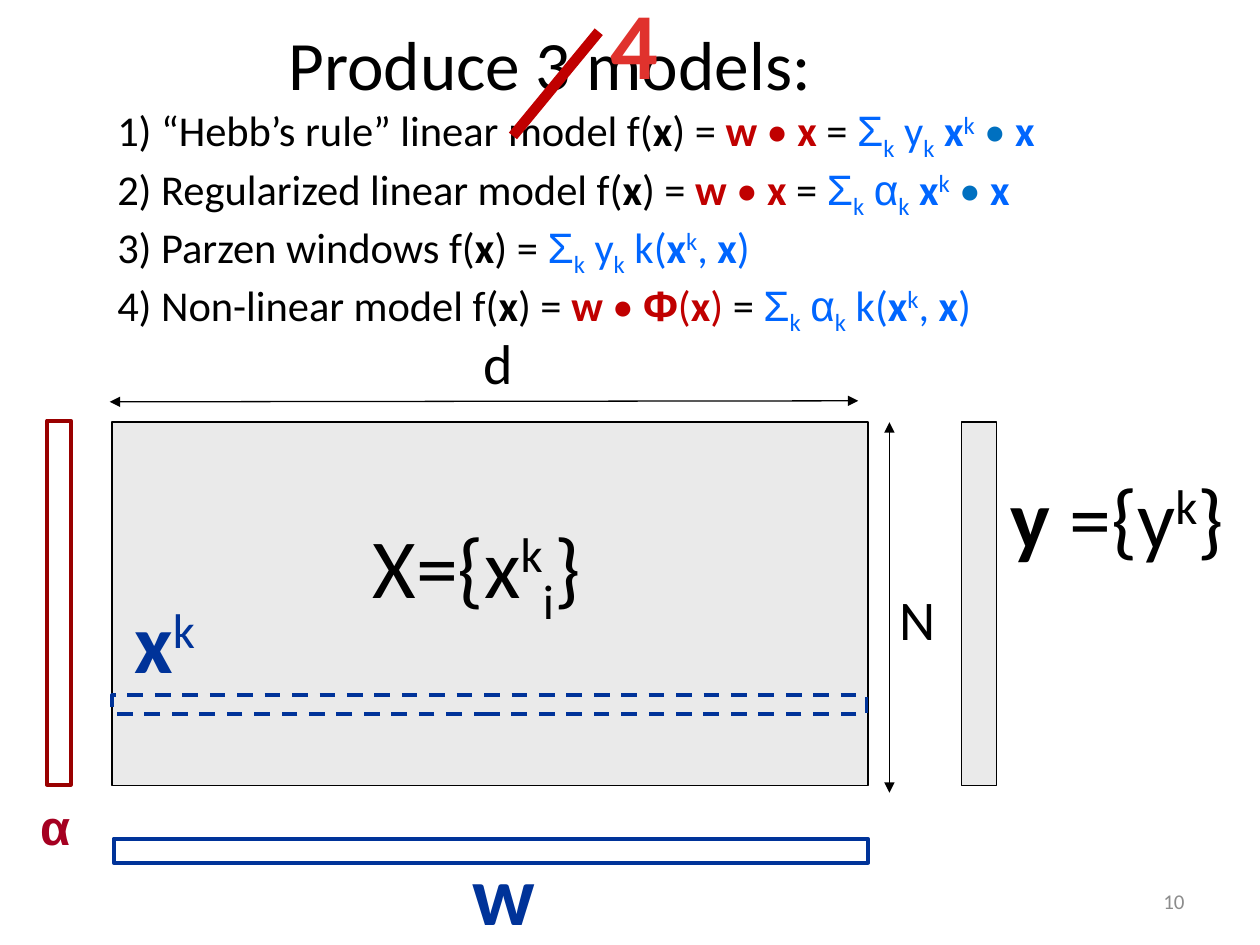
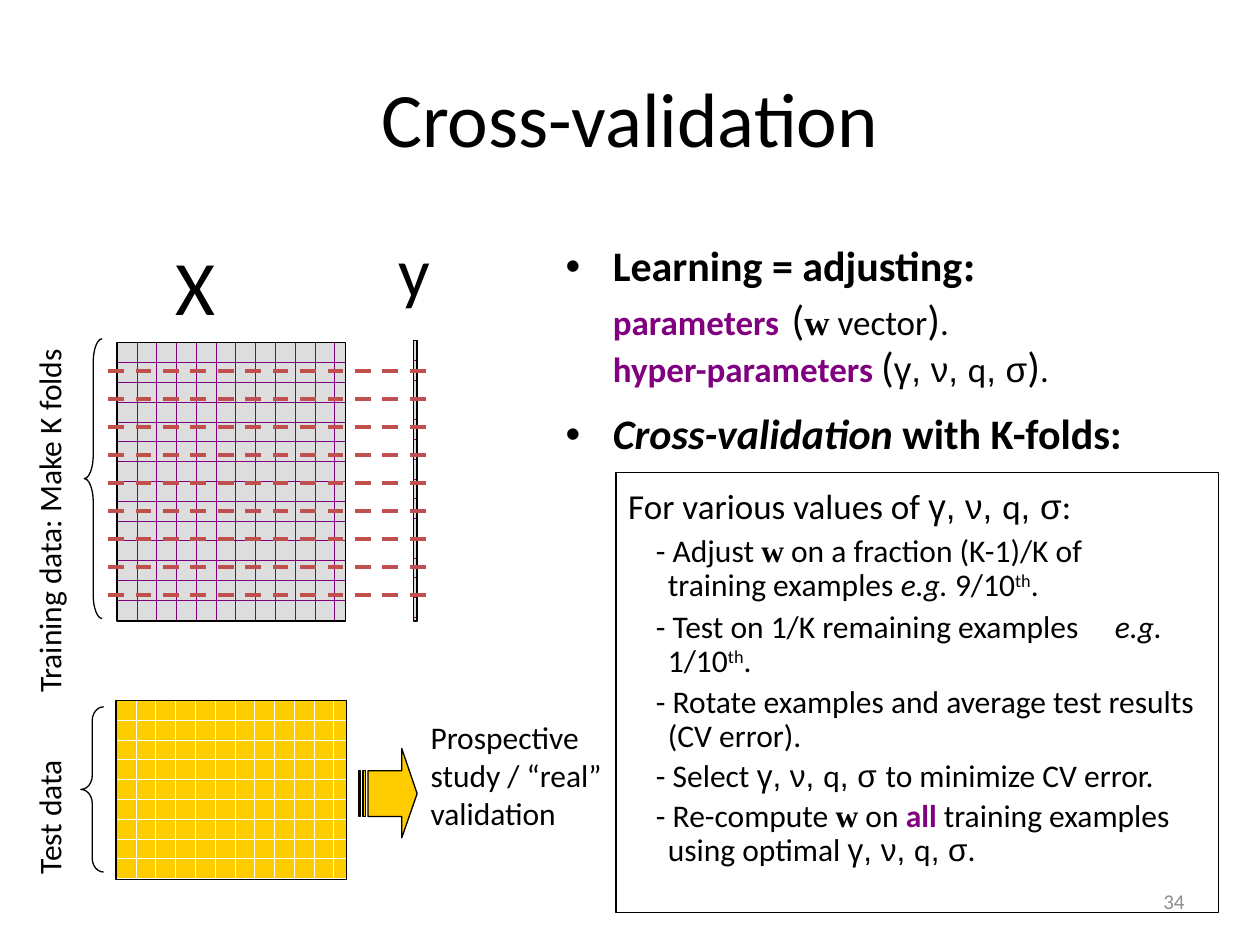
from lxml import etree
from pptx import Presentation
from pptx import util as u
from pptx.dml.color import RGBColor
from pptx.enum import dml, shapes, text
from pptx.oxml import ns

COLORS = {
    "black": "000000", "red": "C00000", "blue": "0066FF", "azure": "0070C0",
    "navy": "003399", "maroon": "990000", "crimson": "A50021", "purple": "800080",
    "brick": "C0504D", "gold": "FFCC00", "white": "FFFFFF", "silver": "EAEAEA",
    "ash": "DDDDDD", "gray": "8C8C8C", "scarlet": "E0322D", "rust": "A2201C",
}
FONTS = {"arial": "Arial", "times": "Times New Roman"}
RUN_MARKS = {"sup": ("baseline", "30000"), "sub": ("baseline", "-25000"), "wide": ("spc", "1650")}


def write_runs(paragraph, runs, size):
    for words, style in runs:
        if words == "\n":
            paragraph.add_line_break()
            continue
        run = paragraph.add_run()
        run.text = words
        font = run.font
        font.name, font.size = "Calibri", u.Pt(size)
        font.color.rgb = RGBColor.from_string(COLORS["black"])
        font.bold = font.italic = False
        for mark in style.split():
            if mark in COLORS:
                font.color.rgb = RGBColor.from_string(COLORS[mark])
            elif mark in FONTS:
                font.name = FONTS[mark]
            elif mark in RUN_MARKS:
                run._r.get_or_add_rPr().set(*RUN_MARKS[mark])
            elif mark.isdigit():
                font.size = u.Pt(int(mark))
            else:
                setattr(font, mark, True)


def draw_line(shape, color, width, dashed=False, arrows=False):
    shape.line.color.rgb = RGBColor.from_string(COLORS[color])
    shape.line.width = u.Pt(width)
    if dashed:
        shape.line.dash_style = dml.MSO_LINE.DASH
    if arrows:
        for end in ("a:headEnd", "a:tailEnd"):
            etree.SubElement(shape.line._get_or_add_ln(), ns.qn(end), type="triangle")
    if shape.shape_type == shapes.MSO_SHAPE_TYPE.LINE:
        etree.SubElement(shape._element.spPr, ns.qn("a:effectLst"))
    else:
        shape.shadow.inherit = False


presentation = Presentation()
presentation.slide_width, presentation.slide_height = u.Cm(25.4), u.Cm(19.05)
models_slide = presentation.slides.add_slide(presentation.slide_layouts[5])
folds_slide = presentation.slides.add_slide(presentation.slide_layouts[1])

for slide, number, box in (
    (models_slide, "10", (2.11, 2.54, 21.59, 3.18)),
    (folds_slide, "34", (1.27, 0.76, 22.86, 3.18)),
):
    title = slide.shapes.title
    title.left, title.top, title.width, title.height = map(u.Cm, box)
    title.text_frame.auto_size = text.MSO_AUTO_SIZE.NONE
    title.text_frame.vertical_anchor = text.MSO_ANCHOR.MIDDLE
    footer = slide.shapes.add_textbox(u.Cm(18.21), u.Cm(17.65), u.Cm(5.92), u.Cm(1.02))
    footer.text_frame.vertical_anchor = text.MSO_ANCHOR.MIDDLE
    footer.text_frame.paragraphs[0].alignment = text.PP_ALIGN.RIGHT
    write_runs(footer.text_frame.paragraphs[0], [(number, "gray")], 12)

argument = [("x", "bold"), (") = ", "")]
weights = [("w ", "bold red"), ("• ", "red")]
weighted_x = weights + [("x", "bold red"), (" = ", "")]
total = [("Σ", "arial blue"), ("k", "blue sub"), (" ", "blue")]
target = [("y", "blue"), ("k", "blue sub"), (" ", "blue")]
alpha = [("α", "arial blue"), ("k", "blue sub"), (" ", "blue")]
product = [("x", "bold blue"), ("k", "blue sup"), (" • ", "azure"), ("x", "bold blue")]
kernel = [("k(", "blue"), ("x", "bold blue"), ("k", "blue sup"), (", ", "blue"),
          ("x", "bold blue"), (")", "blue")]
mapped_x = weights + [("Φ", "arial bold red"), ("(", "red"), ("x", "bold red"),
                      (") ", "red"), ("= ", "")]
models = [
    [("1) “Hebb’s rule” linear model f(", "")] + argument + weighted_x + total + target + product,
    [("2) Regularized linear model f(", "")] + argument + weighted_x + total + alpha + product,
    [("3) Parzen windows f(", "")] + argument + total + target + kernel,
    [("4) Non-linear model f(", "")] + argument + mapped_x + total + alpha + kernel,
]
title_frame = models_slide.shapes.title.text_frame
title_frame.margin_bottom = u.Cm(1.17)
heading = title_frame.paragraphs[0]
heading.alignment = text.PP_ALIGN.LEFT
heading._p.get_or_add_pPr().set("marL", "0")
heading._p.get_or_add_pPr().set("indent", str(u.Cm(3.45)))
write_runs(heading, [("Produce 3 models:", "")], 39.6)
for model in models:
    write_runs(heading, [("\n", "")] + model, 24.3)

for box, fill, color, width, dashed in (
    ((2.26, 8.51, 15.24, 7.32), "silver", "black", 0.75, False),
    ((19.38, 8.51, 0.71, 7.32), "silver", "black", 0.75, False),
    ((0.95, 8.48, 0.48, 7.34), None, "maroon", 2.25, False),
    ((2.26, 14.02, 15.21, 0.38), None, "navy", 2.25, True),
    ((2.29, 16.91, 15.21, 0.48), None, "navy", 2.25, False),
):
    block = models_slide.shapes.add_shape(shapes.MSO_SHAPE.RECTANGLE, *map(u.Cm, box))
    if fill:
        block.fill.solid()
        block.fill.fore_color.rgb = RGBColor.from_string(COLORS[fill])
    else:
        block.fill.background()
    draw_line(block, color, width, dashed)

for ends, color, width, arrows in (
    ((2.21, 8.1, 17.3, 8.08), "black", 0.75, True),
    ((17.93, 8.51, 17.93, 15.98), "black", 0.75, True),
    ((10.34, 2.74, 12.07, 0.64), "red", 6, False),
):
    connector = models_slide.shapes.add_connector(shapes.MSO_CONNECTOR.STRAIGHT, *map(u.Cm, ends))
    draw_line(connector, color, width, arrows=arrows)

write_runs(folds_slide.shapes.title.text_frame.paragraphs[0], [("Cross-validation", "")], 44)

greek = [("γ, ν, ", "arial"), ("q", ""), (", σ", "arial")]
w_vector = ("w", "times bold")
indents = {"bullet": (0.95, -0.95), "plain": (0.95, 0), "intro": (1.26, 0), "step": (2.06, -0.24)}
body = folds_slide.placeholders[1]
body.left, body.top, body.width, body.height = map(u.Cm, (11.15, 4.82, 13.54, 13.44))
body.text_frame.auto_size = text.MSO_AUTO_SIZE.NONE
for index, (kind, size, before, runs) in enumerate((
    ("bullet", 24, 0, [("Learning = adjusting", "bold"), (":", "times bold")]),
    ("plain", 20, 1.6, [("parameters", "bold purple"), (" ", "times 28"), ("(", "24"), w_vector,
                        (" vector", ""), (")", "24"), (".", "")]),
    ("plain", 20, 0, [("hyper-parameters ", "bold purple"), ("(", "24")] + greek
     + [(")", "24"), (".", "")]),
    ("bullet", 24, 12.5, [("Cross-validation", "bold italic"), (" with K-folds:", "bold")]),
    ("intro", 20, 17, [("For various values of ", "")] + greek + [(":", "")]),
    ("step", 18, 5.2, [("- Adjust ", ""), w_vector, (" on a fraction (K-1)/K of", ""), ("\n", ""),
                       ("training examples ", ""), ("e.g.", "italic"), (" 9/10", ""),
                       ("th", "sup"), (".", "")]),
    ("step", 18, 4.5, [("- Test on 1/K remaining examples", ""), (" ", "wide"), ("e.g.", "italic"),
                       ("\n", ""), ("1/10", ""), ("th", "sup"), (".", "")]),
    ("step", 18, 3.6, [("- Rotate examples and average test results (CV error).", "")]),
    ("step", 18, 3.6, [("- Select ", "")] + greek + [(" ", "arial"), ("to minimize CV error.", "")]),
    ("step", 18, 3.6, [("- Re-compute ", ""), w_vector, (" on ", ""), ("all", "bold purple"),
                       (" training examples using optimal ", "")] + greek + [(".", "")]),
)):
    paragraph = body.text_frame.add_paragraph() if index else body.text_frame.paragraphs[0]
    paragraph.level = int(kind == "step")
    paragraph.line_spacing = 0.9
    paragraph.space_before = u.Pt(before)
    properties = paragraph._p.get_or_add_pPr()
    for name, length in zip(("marL", "indent"), indents[kind]):
        properties.set(name, str(u.Cm(length)))
    if kind != "bullet":
        etree.SubElement(properties, ns.qn("a:buNone"))
    write_runs(paragraph, runs, size)

for box, front, back in (
    ((2.34, 14.12, 4.65, 3.61), "white", "gold"),
    ((2.36, 6.91, 4.6, 5.61), "purple", "ash"),
    ((8.33, 6.86, 0.08, 5.66), "purple", "ash"),
):
    grid = folds_slide.shapes.add_shape(shapes.MSO_SHAPE.RECTANGLE, *map(u.Cm, box))
    grid.fill.patterned()
    grid.fill.pattern = dml.MSO_PATTERN.DOTTED_GRID
    grid.fill.fore_color.rgb = RGBColor.from_string(COLORS[front])
    grid.fill.back_color.rgb = RGBColor.from_string(COLORS[back])
    draw_line(grid, "black", 0.75)

fold_count = 10
fold_gap = 4.52 / (fold_count - 2)
for fold in range(fold_count - 1):
    height = u.Cm(7.48 + fold * fold_gap)
    divider = folds_slide.shapes.add_connector(
        shapes.MSO_CONNECTOR.STRAIGHT, u.Cm(2.18), height, u.Cm(8.64), height)
    draw_line(divider, "brick", 2.25, dashed=True)

arrow_outline = [(8.1, 15.09), (8.1, 15.54), (7.42, 15.54), (7.42, 16.46), (8.1, 16.46),
                 (8.1, 16.89), (8.41, 16)]
bars = [[(left, 15.54), (left, 16.46), (right, 16.46), (right, 15.54)]
        for left, right in ((7.32, 7.37), (7.24, 7.27))]
builder = folds_slide.shapes.build_freeform(*map(u.Cm, arrow_outline[0]))
for contour in [arrow_outline] + bars:
    points = [(u.Cm(x), u.Cm(y)) for x, y in contour]
    if contour is not arrow_outline:
        builder.move_to(*points[0])
    builder.add_line_segments(points[1:], close=True)
arrow = builder.convert_to_shape()
arrow.fill.solid()
arrow.fill.fore_color.rgb = RGBColor.from_string(COLORS["gold"])
draw_line(arrow, "black", 0.75)

for preset, box, curve in (
    (shapes.MSO_SHAPE.LEFT_BRACE, (1.7, 6.83, 0.36, 5.64), 1.33),
    (shapes.MSO_SHAPE.LEFT_BRACE, (1.63, 14.25, 0.46, 3.33), 0.6),
    (shapes.MSO_SHAPE.RECTANGLE, (12.42, 9.53, 12.14, 8.86), None),
):
    outline = folds_slide.shapes.add_shape(preset, *map(u.Cm, box))
    if curve:
        outline.adjustments[0] = curve
    outline.fill.background()
    draw_line(outline, "black", 0.75)

for slide, box, size, runs, vertical in (
    (models_slide, (7.26, 10.24, 8.15, 2.29), 48,
     [("X={x", ""), ("k", "sup"), ("i", "sub"), ("}", "")], False),
    (models_slide, (9.5, 6.5, 1.12, 1.63), 32, [("d", "")], False),
    (models_slide, (17.88, 11.66, 1.24, 1.63), 32, [("N", "")], False),
    (models_slide, (2.46, 11.76, 2.11, 2.29), 48, [("x", "bold navy"), ("k", "navy sup")], False),
    (models_slide, (20.12, 9.27, 7.19, 2.29), 48,
     [("y ", "bold"), ("={y", ""), ("k", "sup"), ("}", "")], False),
    (models_slide, (0.56, 15.93, 1.3, 1.45), 28, [("α", "arial bold crimson")], False),
    (models_slide, (9.27, 16.84, 2.11, 2.29), 48, [("w", "bold navy")], False),
    (folds_slide, (3.28, 4.69, 1.63, 2.11), 44, [("X", "")], False),
    (folds_slide, (7.79, 4.47, 1.4, 1.96), 40, [("y", "")], False),
    (folds_slide, (8.43, 14.35, 4.05, 3.3), 18,
     [("Prospective study / “real” validation", "")], False),
    (folds_slide, (0.48, 5.23, 1.27, 8.99), 18, [("Training data: Make K folds", "")], True),
    (folds_slide, (0.48, 13.74, 1.27, 4.14), 18, [("Test data", "")], True),
):
    label = slide.shapes.add_textbox(*map(u.Cm, box))
    label.text_frame.word_wrap = True
    if vertical:
        label.text_frame._txBody.bodyPr.set("vert", "vert270")
    write_runs(label.text_frame.paragraphs[0], runs, size)

correction = models_slide.shapes.add_textbox(*map(u.Cm, (12.04, -0.43, 1.5, 2.57)))
paragraph = correction.text_frame.paragraphs[0]
paragraph.alignment = text.PP_ALIGN.CENTER
write_runs(paragraph, [("4", "bold")], 54)
digit_fill = paragraph.runs[0].font.fill
digit_fill.gradient()
digit_fill.gradient_angle = 270
for stop, color, position in zip(digit_fill.gradient_stops, ("scarlet", "rust"), (0.25, 1)):
    stop.color.rgb = RGBColor.from_string(COLORS[color])
    stop.position = position

presentation.save("out.pptx")
